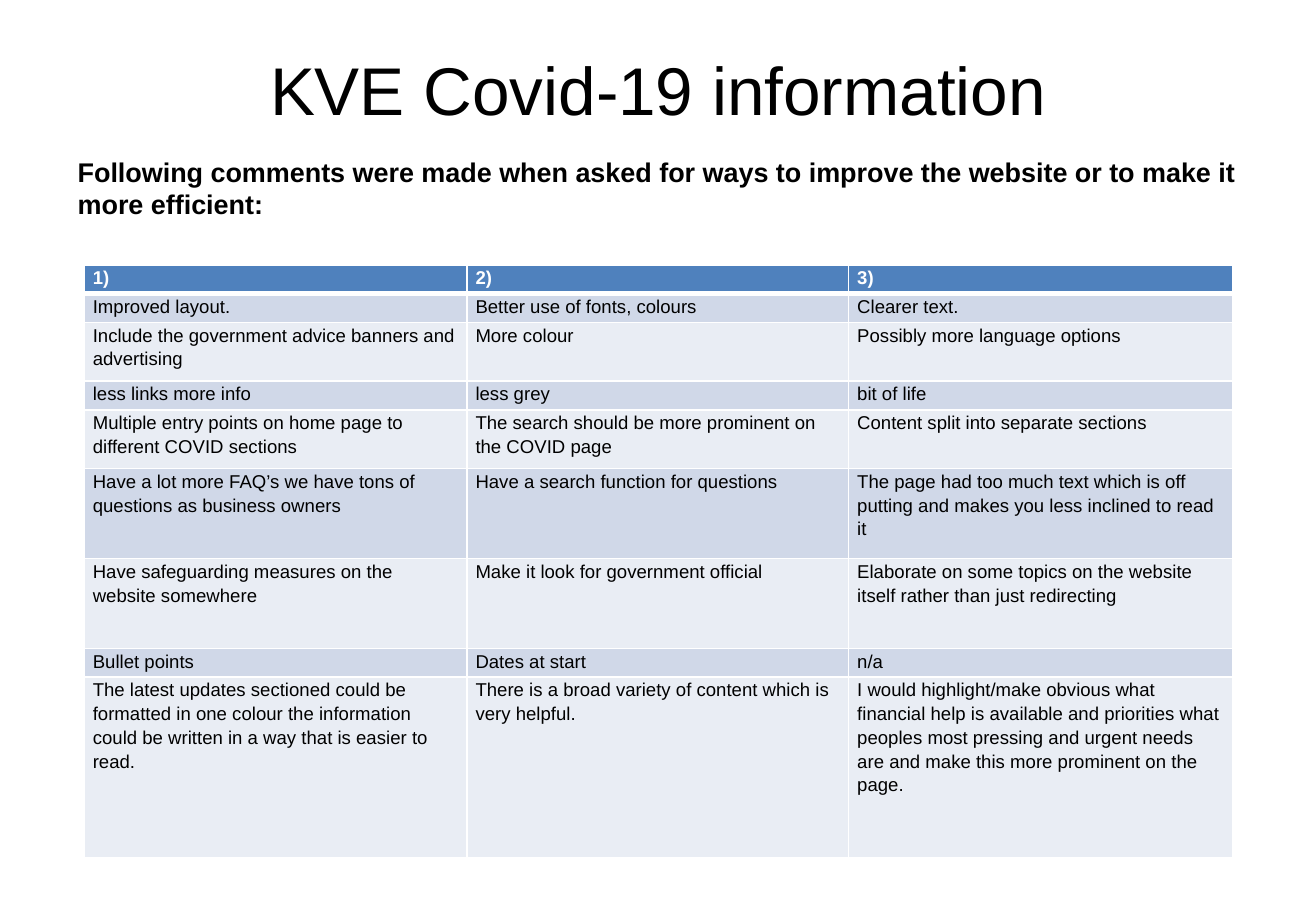
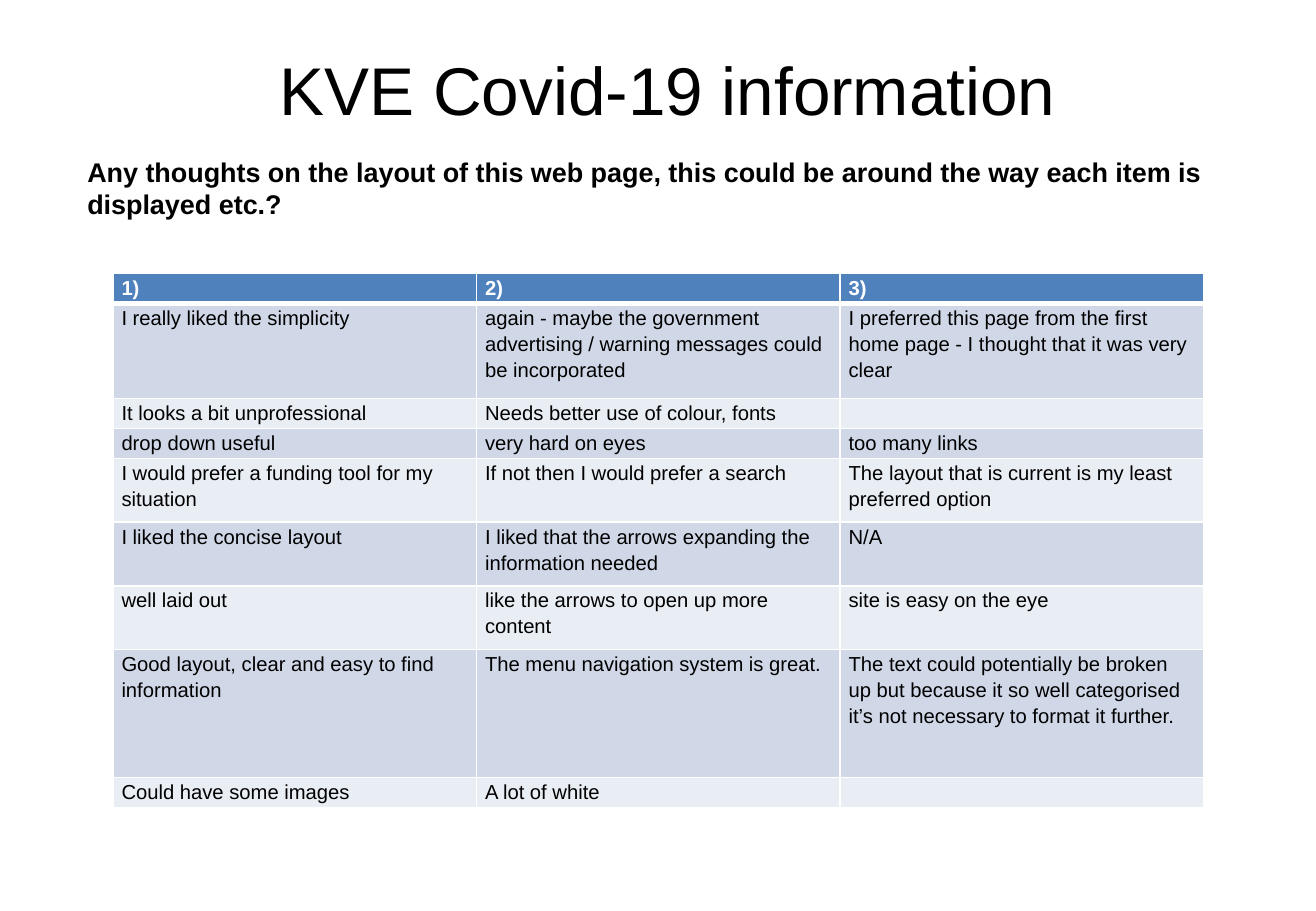
from lxml import etree
from pptx import Presentation
from pptx.dml.color import RGBColor
from pptx.enum import text
from pptx.oxml.ns import qn
from pptx.util import Cm, Pt

FONT = "Arial"
BLACK = RGBColor(0x00, 0x00, 0x00)
WHITE = RGBColor(0xFF, 0xFF, 0xFF)
HEADER_BLUE = RGBColor(0x4F, 0x81, 0xBD)
BANDS = (RGBColor(0xE9, 0xED, 0xF4), RGBColor(0xD0, 0xD8, 0xE8))

TITLE = "KVE Covid-19 information"
HEADINGS = ("1)", "2)", "3)")
IMPROVEMENTS = [
    ("Improved layout.", "Better use of fonts, colours", "Clearer text."),
    ("Include the government advice banners and advertising", "More colour",
     "Possibly more language options"),
    ("less links more info", "less grey", "bit of life"),
    ("Multiple entry points on home page to different COVID sections",
     "The search should be more prominent on the COVID page",
     "Content split into separate sections"),
    ("Have a lot more FAQ’s we have tons of questions as business owners",
     "Have a search function for questions",
     "The page had too much text which is off putting and makes you less inclined to read it"),
    ("Have safeguarding measures on the website somewhere",
     "Make it look for government official",
     "Elaborate on some topics on the website itself rather than just redirecting"),
    ("Bullet points", "Dates at start", "n/a"),
    ("The latest updates sectioned could be formatted in one colour the information "
     "could be written in a way that is easier to read.",
     "There is a broad variety of content which is very helpful.",
     "I would highlight/make obvious what financial help is available and priorities what "
     "peoples most pressing and urgent needs are and make this more prominent on the page."),
]
LAYOUT_THOUGHTS = [
    ("I really liked the simplicity",
     "again - maybe the government advertising / warning messages could be incorporated",
     "I preferred this page from the first home page - I thought that it was very clear"),
    ("It looks a bit unprofessional", "Needs better use of colour, fonts", ""),
    ("drop down useful", "very hard on eyes", "too many links"),
    ("I would prefer a funding tool for my situation", "If not then I would prefer a search",
     "The layout that is current is my least preferred option"),
    ("I liked the concise layout", "I liked that the arrows expanding the information needed",
     "N/A"),
    ("well laid out", "like the arrows to open up more content", "site is easy on the eye"),
    ("Good layout, clear and easy to find information", "The menu navigation system is great.",
     "The text could potentially be broken up but because it so well categorised "
     "it’s not necessary to format it further."),
    ("Could have some images", "A lot of white", ""),
]
PAGES = [
    dict(question="Following comments were made when asked for ways to improve the website "
                  "or to make it more efficient:",
         left=1.37, corner=(1.76, 5.54), columns=(8, 7.98, 8.03), size=11,
         heights=(0.6, 0.6, 1.23, 0.6, 1.23, 1.88, 1.88, 0.6, 3.77), answers=IMPROVEMENTS),
    dict(question="Any thoughts on the layout of this web page, this could be around the way "
                  "each item is displayed etc.?",
         left=1.57, corner=(2.36, 5.72), columns=(7.6, 7.6, 7.6), size=12,
         heights=(0.63, 1.98, 0.63, 0.63, 1.33, 1.33, 1.33, 2.68, 0.63),
         answers=LAYOUT_THOUGHTS),
]


def write(frame, words, size, color=BLACK, bold=False, align=text.PP_ALIGN.LEFT, spacing=None):
    para = frame.paragraphs[0]
    para.alignment = align
    if spacing:
        para.line_spacing = spacing
    if not words:
        etree.SubElement(para._p, qn("a:endParaRPr"), sz=str(size * 100))
        return para
    span = para.add_run()
    span.text = words
    span.font.name = FONT
    span.font.size = Pt(size)
    span.font.bold = bold
    span.font.color.rgb = color
    return para


def place(box, left, top, width, height):
    box.left, box.top, box.width, box.height = Cm(left), Cm(top), Cm(width), Cm(height)
    frame = box.text_frame
    frame.auto_size = text.MSO_AUTO_SIZE.NONE
    frame.vertical_anchor = text.MSO_ANCHOR.TOP
    return frame


def outline(cell, bottom):
    properties = cell._tc.get_or_add_tcPr()
    for position, (side, width) in enumerate((("L", 1), ("R", 1), ("T", 1), ("B", bottom))):
        line = etree.Element(qn("a:ln" + side), w=str(Pt(width)))
        fill = etree.SubElement(line, qn("a:solidFill"))
        etree.SubElement(fill, qn("a:srgbClr"), val=str(WHITE))
        properties.insert(position, line)


def add_answers(page, corner, columns, heights, answers, size):
    rows = [HEADINGS] + answers
    grid = page.shapes.add_table(len(rows), len(columns), Cm(corner[0]), Cm(corner[1]),
                                 Cm(sum(columns)), Cm(sum(heights))).table
    grid.horz_banding = False
    for column, width in zip(grid.columns, columns):
        column.width = Cm(width)
    for r, (row, height) in enumerate(zip(rows, heights)):
        grid.rows[r].height = Cm(height)
        header = r == 0
        for c, words in enumerate(row):
            cell = grid.cell(r, c)
            cell.margin_left = cell.margin_right = Cm(0.18)
            cell.margin_top = cell.margin_bottom = 0
            cell.fill.solid()
            cell.fill.fore_color.rgb = HEADER_BLUE if header else BANDS[r % 2]
            outline(cell, 3 if header else 1)
            write(cell.text_frame, words, size, WHITE if header else BLACK, header, spacing=1.15)


deck = Presentation()
deck.slide_width, deck.slide_height = Cm(27.51), Cm(19.05)
for content in PAGES:
    page = deck.slides.add_slide(deck.slide_layouts[1])
    heading, body = page.placeholders
    frame = place(heading, content["left"], 0.76, 24.77, 3.18)
    frame.margin_top = Cm(0.25)
    write(frame, TITLE, 40, align=text.PP_ALIGN.CENTER)
    frame = place(body, content["left"], 3.12, 24.77, 15.16)
    para = write(frame, content["question"], 16, bold=True)
    properties = para._p.get_or_add_pPr()
    properties.set("marL", "0")
    properties.set("indent", "0")
    etree.SubElement(properties, qn("a:buNone"))
    add_answers(page, content["corner"], content["columns"], content["heights"],
                content["answers"], content["size"])
deck.save("out.pptx")
